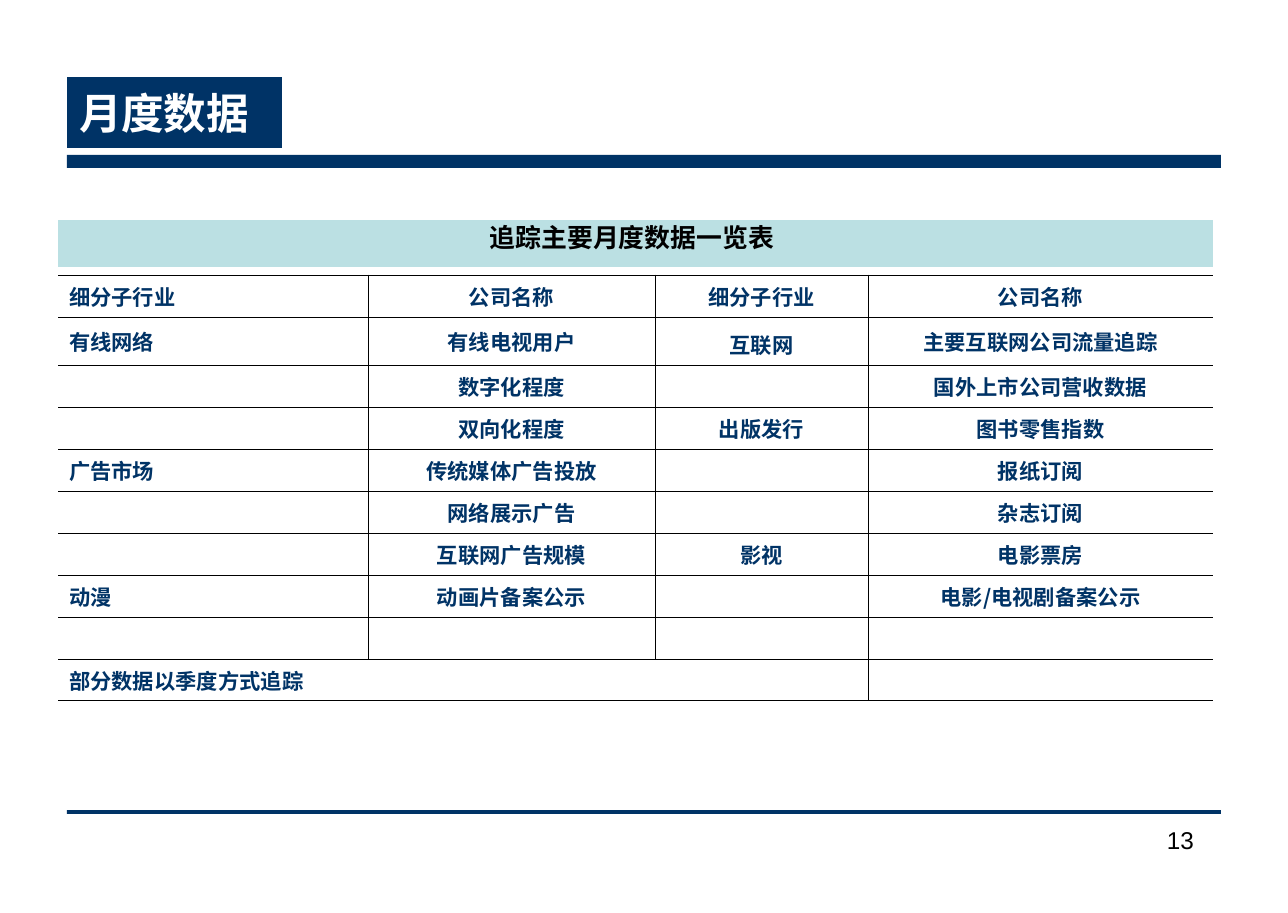
from dataclasses import dataclass

from lxml import etree
from pptx import Presentation, util as u
from pptx.dml.color import RGBColor
from pptx.enum import shapes, text
from pptx.oxml.ns import qn

EMU_PER_PX = 8358
COLORS = {"navy": "003366", "aqua": "BBE0E3", "black": "000000", "white": "FFFFFF"}
CJK = "Noto Sans CJK SC"
LATIN = "Arial"
LEFT, CENTER, RIGHT = text.PP_ALIGN.LEFT, text.PP_ALIGN.CENTER, text.PP_ALIGN.RIGHT
THIN, THICK = 0.45, 0.75

COLUMN_WIDTHS = (310, 287, 213, 345)
ROW_HEIGHT, SPACED_ROW_HEIGHT = 42, 48
SPACED_ROW, SPACED_COLUMN = 1, 2
INDICATORS = (
    ("细分子行业", "公司名称", "细分子行业", "公司名称"),
    ("有线网络", "有线电视用户", "互联网", "主要互联网公司流量追踪"),
    ("", "数字化程度", "", "国外上市公司营收数据"),
    ("", "双向化程度", "出版发行", "图书零售指数"),
    ("广告市场", "传统媒体广告投放", "", "报纸订阅"),
    ("", "网络展示广告", "", "杂志订阅"),
    ("", "互联网广告规模", "影视", "电影票房"),
    ("动漫", "动画片备案公示", "", "电影/电视剧备案公示"),
    ("", "", "", ""),
    ("部分数据以季度方式追踪", "", "", ""),
)


@dataclass(frozen=True)
class Area:
    left: int
    top: int
    width: int
    height: int

    def emu(self) -> tuple:
        return tuple(px(n) for n in (self.left, self.top, self.width, self.height))


@dataclass(frozen=True)
class Style:
    size: int
    color: str
    font: str = CJK
    bold: bool = True


TITLE_AREA = Area(67, 77, 215, 71)
RULES = (Area(67, 155, 1154, 13), Area(67, 810, 1154, 4))
HEADING_AREA = Area(58, 220, 1155, 47)
NUMBER_AREA = Area(1109, 818, 97, 63)
TABLE_LEFT, TABLE_TOP = 58, 275
CELL_STYLE = Style(14, "navy")


def px(length: int) -> u.Emu:
    return u.Emu(length * EMU_PER_PX)


def rgb(name: str) -> RGBColor:
    return RGBColor.from_string(COLORS[name])


def write(frame, wording: str, style: Style, align, margins: tuple, anchor) -> None:
    frame.word_wrap = True
    frame.auto_size = text.MSO_AUTO_SIZE.NONE
    frame.vertical_anchor = anchor
    (frame.margin_left, frame.margin_top,
     frame.margin_right, frame.margin_bottom) = map(px, margins)
    add_run(frame.paragraphs[0], wording, style, align)


def add_run(paragraph, wording: str, style: Style, align) -> None:
    paragraph.alignment = align
    run = paragraph.add_run()
    run.text = wording
    run.font.size = u.Pt(style.size)
    run.font.bold = style.bold
    run.font.color.rgb = rgb(style.color)
    run.font.name = style.font
    latin = run.font._element.find(qn("a:latin"))
    east_asian = etree.Element(qn("a:ea"), typeface=CJK)
    latin.addnext(east_asian)


def add_bar(slide, area: Area, color: str):
    bar = slide.shapes.add_shape(shapes.MSO_SHAPE.RECTANGLE, *area.emu())
    bar.shadow.inherit = False
    bar.fill.solid()
    bar.fill.fore_color.rgb = rgb(color)
    bar.line.fill.background()
    return bar


def set_borders(cell, widths: dict) -> None:
    properties = cell._tc.get_or_add_tcPr()
    for side in ("L", "R", "T", "B"):
        width = widths.get(side, 0)
        line = etree.SubElement(properties, qn(f"a:ln{side}"), w=str(int(u.Pt(width))))
        if width:
            fill = etree.SubElement(line, qn("a:solidFill"))
            etree.SubElement(fill, qn("a:srgbClr"), val=COLORS["black"])
        else:
            etree.SubElement(line, qn("a:noFill"))
    cell.fill.background()


def add_indicators(slide) -> None:
    heights = [ROW_HEIGHT] * len(INDICATORS)
    heights[SPACED_ROW] = SPACED_ROW_HEIGHT
    area = Area(TABLE_LEFT, TABLE_TOP, sum(COLUMN_WIDTHS), sum(heights))
    last_row, last_column = len(heights) - 1, len(COLUMN_WIDTHS) - 1
    table = slide.shapes.add_table(len(heights), len(COLUMN_WIDTHS), *area.emu()).table
    table.first_row = table.horz_banding = False
    for column, width in zip(table.columns, COLUMN_WIDTHS):
        column.width = px(width)
    for row, height in zip(table.rows, heights):
        row.height = px(height)
    table.cell(last_row, 0).merge(table.cell(last_row, last_column - 1))

    for r, wordings in enumerate(INDICATORS):
        for c, wording in enumerate(wordings):
            cell = table.cell(r, c)
            widths = {"T": THIN if r else THICK, "B": THIN if r < last_row else THICK}
            if c and not cell.is_spanned:
                widths["L"] = THIN
            if cell.is_merge_origin or (c < last_column and r < last_row) or c == last_column - 1:
                widths["R"] = THIN
            set_borders(cell, widths)
            cell.vertical_anchor = text.MSO_ANCHOR.MIDDLE
            cell.margin_left = cell.margin_right = px(11)
            cell.margin_top = cell.margin_bottom = px(5)
            paragraph = cell.text_frame.paragraphs[0]
            if wording:
                add_run(paragraph, wording, CELL_STYLE, CENTER if c else LEFT)
            else:
                etree.SubElement(paragraph._p, qn("a:endParaRPr"), sz=str(CELL_STYLE.size * 100))
    table.cell(SPACED_ROW, SPACED_COLUMN).text_frame.paragraphs[0].line_spacing = 1.2


def main() -> None:
    deck = Presentation()
    deck.slide_width, deck.slide_height = px(1288), px(913)
    slide = deck.slides.add_slide(deck.slide_layouts[5])

    for rule in RULES:
        add_bar(slide, rule, "navy")

    title = slide.shapes.title
    title.left, title.top, title.width, title.height = TITLE_AREA.emu()
    title.fill.solid()
    title.fill.fore_color.rgb = rgb("navy")
    write(title.text_frame, "月度数据", Style(28, "white", LATIN), LEFT,
          (12, 6, 12, 6), text.MSO_ANCHOR.MIDDLE)

    heading = add_bar(slide, HEADING_AREA, "aqua")
    write(heading.text_frame, "追踪主要月度数据一览表", Style(17, "black"), CENTER,
          (12, 2, 19, 2), text.MSO_ANCHOR.TOP)

    add_indicators(slide)

    page_number = slide.shapes.add_textbox(*NUMBER_AREA.emu())
    write(page_number.text_frame, "13", Style(16, "black", LATIN, False), RIGHT,
          (12, 7, 12, 7), text.MSO_ANCHOR.TOP)

    deck.save("out.pptx")


if __name__ == "__main__":
    main()
